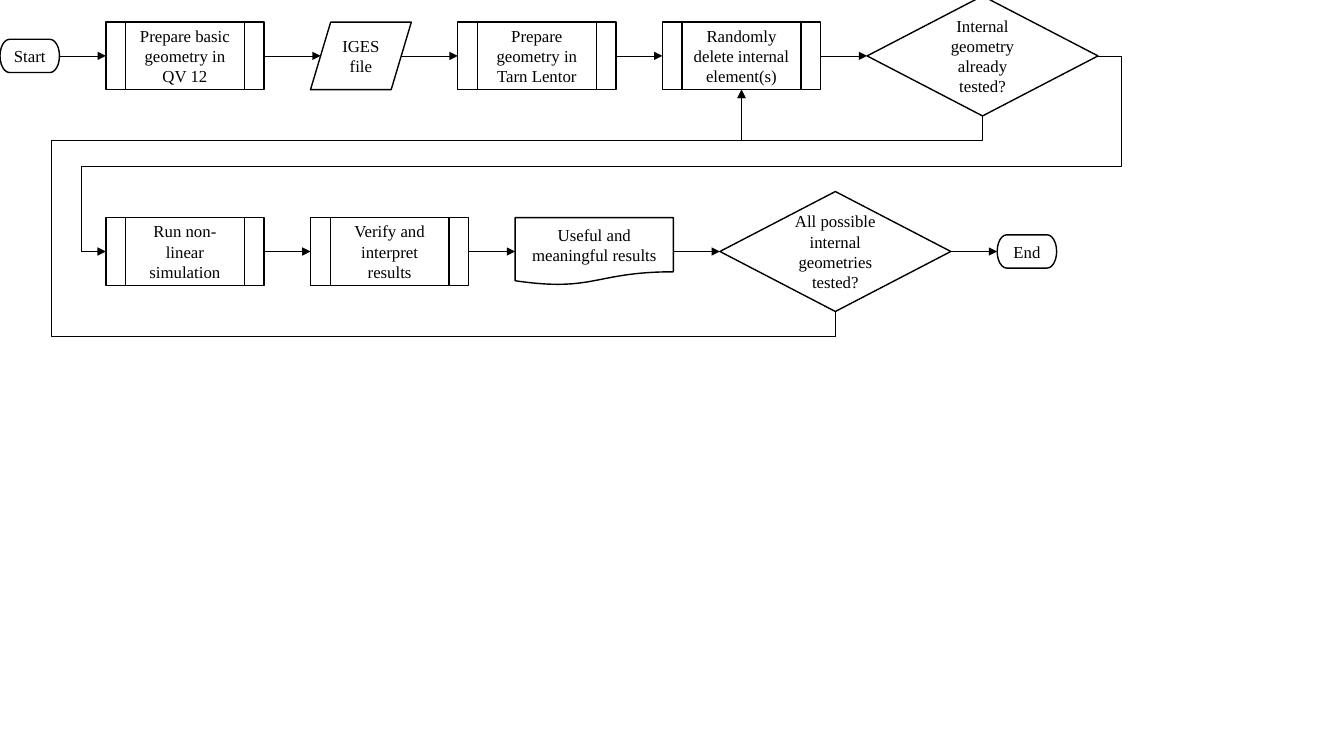
import dataclasses
import itertools

import lxml.etree
import pptx
import pptx.dml.color
import pptx.enum.shapes
import pptx.enum.text
import pptx.oxml.ns
import pptx.util

SHAPE = pptx.enum.shapes.MSO_SHAPE
CONNECTOR = pptx.enum.shapes.MSO_CONNECTOR
qn = pptx.oxml.ns.qn
TOP, LEFT, BOTTOM, RIGHT = range(4)


@dataclasses.dataclass(frozen=True)
class Theme:
    ink: pptx.dml.color.RGBColor = pptx.dml.color.RGBColor(0, 0, 0)
    paper: pptx.dml.color.RGBColor = pptx.dml.color.RGBColor(255, 255, 255)
    font: str = "Times New Roman"
    text_size: float = 12
    outline: float = 1
    arrow: float = 0.5


class Flowchart:
    """Draws flowchart steps and arrows on one page, with lengths in px of 1/100 inch."""

    SCALE = 9144
    GAP = 46
    SIZES = {
        SHAPE.FLOWCHART_TERMINATOR: (59, 33),
        SHAPE.FLOWCHART_PREDEFINED_PROCESS: (157, 67),
        SHAPE.FLOWCHART_DATA: (100, 67),
        SHAPE.FLOWCHART_DOCUMENT: (157, 67),
        SHAPE.FLOWCHART_DECISION: (229, 119),
    }

    def __init__(self, page, theme):
        self.page = page
        self.theme = theme

    def px(self, length):
        return pptx.util.Emu(length * self.SCALE)

    def step(self, kind, text, left, middle):
        width, height = self.SIZES[kind]
        box = self.page.shapes.add_shape(
            kind, self.px(left), self.px(middle - height // 2), self.px(width), self.px(height))
        box.shadow.inherit = False
        box.fill.solid()
        box.fill.fore_color.rgb = self.theme.paper
        box.line.color.rgb = self.theme.ink
        box.line.width = pptx.util.Pt(self.theme.outline)
        frame = box.text_frame
        frame.word_wrap = True
        frame.vertical_anchor = pptx.enum.text.MSO_ANCHOR.MIDDLE
        para = frame.paragraphs[0]
        para.text = text
        para.alignment = pptx.enum.text.PP_ALIGN.CENTER
        para.font.name = self.theme.font
        para.font.size = pptx.util.Pt(self.theme.text_size)
        para.font.color.rgb = self.theme.ink
        return box

    def row(self, steps, left, middle):
        boxes = []
        for kind, text in steps:
            boxes.append(self.step(kind, text, left, middle))
            left += self.SIZES[kind][0] + self.GAP
        for source, target in itertools.pairwise(boxes):
            self.link(source, target)
        return boxes

    def arrow(self, kind, begin, end):
        connector = self.page.shapes.add_connector(kind, *begin, *end)
        connector.line.color.rgb = self.theme.ink
        connector.line.width = pptx.util.Pt(self.theme.arrow)
        properties = connector.element.spPr
        lxml.etree.SubElement(properties.find(qn("a:ln")), qn("a:tailEnd"), type="triangle")
        lxml.etree.SubElement(properties, qn("a:effectLst"))
        return connector

    def slant(self, box):
        return box.width // 10 if box.auto_shape_type == SHAPE.FLOWCHART_DATA else 0

    def link(self, source, target):
        middle = source.top + source.height // 2
        begin = (source.left + source.width - self.slant(source), middle)
        end = (target.left + self.slant(target), middle)
        connector = self.arrow(CONNECTOR.STRAIGHT, begin, end)
        if not self.slant(source):
            connector.begin_connect(source, RIGHT)
        if not self.slant(target):
            connector.end_connect(target, LEFT)

    def detour(self, source, source_side, target, target_side, bends):
        connector = self.arrow(CONNECTOR.ELBOW, (0, 0), (0, 0))
        connector.begin_connect(source, source_side)
        connector.end_connect(target, target_side)
        begin = (connector.begin_x, connector.begin_y)
        end = (connector.end_x, connector.end_y)
        first_axis = 1 if source_side in (TOP, BOTTOM) else 0
        geometry = connector.element.spPr.find(qn("a:prstGeom"))
        geometry.set("prst", f"bentConnector{len(bends) + 2}")
        guides = geometry.find(qn("a:avLst"))
        for index, bend in enumerate(bends):
            axis = (first_axis + index) % 2
            share = (self.px(bend) - begin[axis]) / (end[axis] - begin[axis])
            lxml.etree.SubElement(
                guides, qn("a:gd"), name=f"adj{index + 1}", fmla=f"val {round(share * 100000)}")
        if first_axis == 1:
            self.quarter_turn(connector, begin, end)

    def quarter_turn(self, connector, begin, end):
        width, height = abs(end[1] - begin[1]), abs(end[0] - begin[0])
        connector.left = (begin[0] + end[0] - width) // 2
        connector.top = (begin[1] + end[1] - height) // 2
        connector.width, connector.height = width, height
        transform = connector.element.spPr.find(qn("a:xfrm"))
        transform.attrib.pop("flipV", None)
        transform.set("flipH", "1")
        transform.set("rot", "5400000")


def main():
    deck = pptx.Presentation()
    deck.slide_width = pptx.util.Inches(13.33)
    deck.slide_height = pptx.util.Inches(7.5)
    chart = Flowchart(deck.slides.add_slide(deck.slide_layouts[6]), Theme())

    preparation = chart.row([
        (SHAPE.FLOWCHART_TERMINATOR, "Start"),
        (SHAPE.FLOWCHART_PREDEFINED_PROCESS, "Prepare basic geometry in QV 12"),
        (SHAPE.FLOWCHART_DATA, "IGES file"),
        (SHAPE.FLOWCHART_PREDEFINED_PROCESS, "Prepare geometry in Tarn Lentor"),
        (SHAPE.FLOWCHART_PREDEFINED_PROCESS, "Randomly delete internal element(s)"),
        (SHAPE.FLOWCHART_DECISION, "Internal geometry already tested?"),
    ], 0, 55)
    analysis = chart.row([
        (SHAPE.FLOWCHART_PREDEFINED_PROCESS, "Run non-linear simulation"),
        (SHAPE.FLOWCHART_PREDEFINED_PROCESS, "Verify and interpret results"),
        (SHAPE.FLOWCHART_DOCUMENT, "Useful and meaningful results"),
        (SHAPE.FLOWCHART_DECISION, "All possible internal geometries tested?"),
        (SHAPE.FLOWCHART_TERMINATOR, "End"),
    ], 105, 249)

    delete_step, already_tested = preparation[-2:]
    simulation, all_tested = analysis[0], analysis[-2]
    chart.detour(already_tested, BOTTOM, delete_step, BOTTOM, [139])
    chart.detour(already_tested, RIGHT, simulation, LEFT, [1113, 165, 80])
    chart.detour(all_tested, BOTTOM, delete_step, BOTTOM, [334, 51, 139])

    deck.save("out.pptx")


if __name__ == "__main__":
    main()
